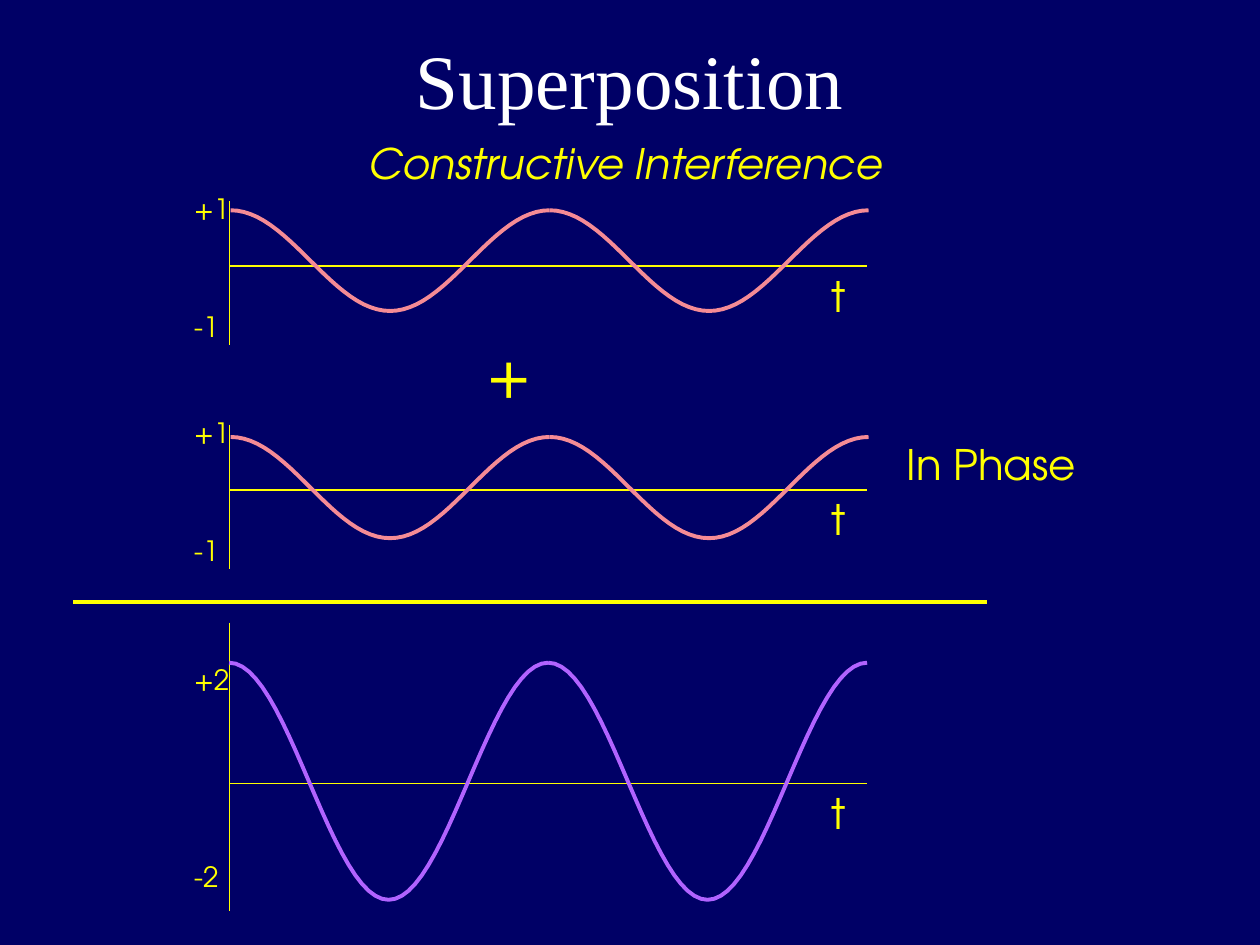
from math import cos, pi

from lxml.etree import SubElement
from pptx import Presentation
from pptx.dml.color import RGBColor
from pptx.enum.shapes import MSO_CONNECTOR
from pptx.enum.text import MSO_ANCHOR, PP_ALIGN
from pptx.oxml.ns import qn
from pptx.util import Cm, Pt

YELLOW = "FFFF00"
PINK = "F58B95"
PURPLE = "B163FF"
SANS = "TeX Gyre Adventor"

AXIS_LEFT, AXIS_RIGHT = 4.62, 17.48
PERIOD = 6.43
STEPS = 48

deck = Presentation()
deck.slide_width, deck.slide_height = Cm(25.4), Cm(19.05)
page = deck.slides.add_slide(deck.slide_layouts[6])
page.background.fill.solid()
page.background.fill.fore_color.rgb = RGBColor.from_string("000066")


def add_text(text, left, top, width, height, size, color=YELLOW, font=SANS):
    """Add a one-line text box and return it with its paragraph."""
    box = page.shapes.add_textbox(Cm(left), Cm(top), Cm(width), Cm(height))
    box.text_frame.word_wrap = True
    para = box.text_frame.paragraphs[0]
    para.text = text
    para.font.size = Pt(size)
    para.font.name = font
    para.font.color.rgb = RGBColor.from_string(color)
    return box, para


def add_line(x1, y1, x2, y2, weight):
    line = page.shapes.add_connector(
        MSO_CONNECTOR.STRAIGHT, Cm(x1), Cm(y1), Cm(x2), Cm(y2))
    line.line.color.rgb = RGBColor.from_string(YELLOW)
    line.line.width = Pt(weight)
    SubElement(line._element.spPr, qn("a:effectLst"))


title, title_para = add_text(
    "Superposition", 1.9, 0, 21.6, 3.18, 44, "FFFFFF", "Times New Roman")
title.text_frame.vertical_anchor = MSO_ANCHOR.MIDDLE
title_para.alignment = PP_ALIGN.CENTER

subtitle, subtitle_para = add_text(
    "Constructive Interference", 5.33, 2.64, 14.55, 1.27, 24)
subtitle_para.alignment = PP_ALIGN.CENTER
subtitle_para.font.italic = True

# axis height, vertical axis ends, "t" top, (label, top) pairs,
# wave left, crest, trough, wave color
graphs = [
    (5.36, 4.06, 6.96, 5.33, [("+1", 3.73), ("-1", 6.12)],
     4.65, 4.24, 6.27, PINK),
    (9.88, 8.56, 11.48, 9.83, [("+1", 8.26), ("-1", 10.64)],
     4.65, 8.81, 10.85, PINK),
    (15.8, 12.55, 18.36, 15.75, [("+2", 13.23), ("-2", 17.2)],
     4.62, 13.36, 18.14, PURPLE),
]
for axis, top, bottom, t_top, labels, left, crest, trough, color in graphs:
    add_line(AXIS_LEFT, axis, AXIS_RIGHT, axis, 0.75)
    add_line(AXIS_LEFT, top, AXIS_LEFT, bottom, 0.75)
    add_text("t", 16.51, t_top, 0.97, 1.27, 24)
    for label, label_top in labels:
        add_text(label, 3.66, label_top, 1.68, 0.94, 16)

    middle, amplitude = (crest + trough) / 2, (trough - crest) / 2
    for start in (left, left + PERIOD):
        points = [(Cm(start + PERIOD * step / STEPS),
                   Cm(middle - amplitude * cos(2 * pi * step / STEPS)))
                  for step in range(STEPS + 1)]
        builder = page.shapes.build_freeform(*points[0])
        builder.add_line_segments(points[1:], close=False)
        wave = builder.convert_to_shape()
        wave.shadow.inherit = False
        wave.fill.background()
        wave.line.color.rgb = RGBColor.from_string(color)
        wave.line.width = Pt(2.25)

add_text("+", 9.55, 6.6, 1.63, 1.78, 36)
add_text("In Phase", 18.03, 8.71, 5.97, 1.27, 24)
add_line(1.47, 12.14, 19.89, 12.14, 2.25)

deck.save("out.pptx")
